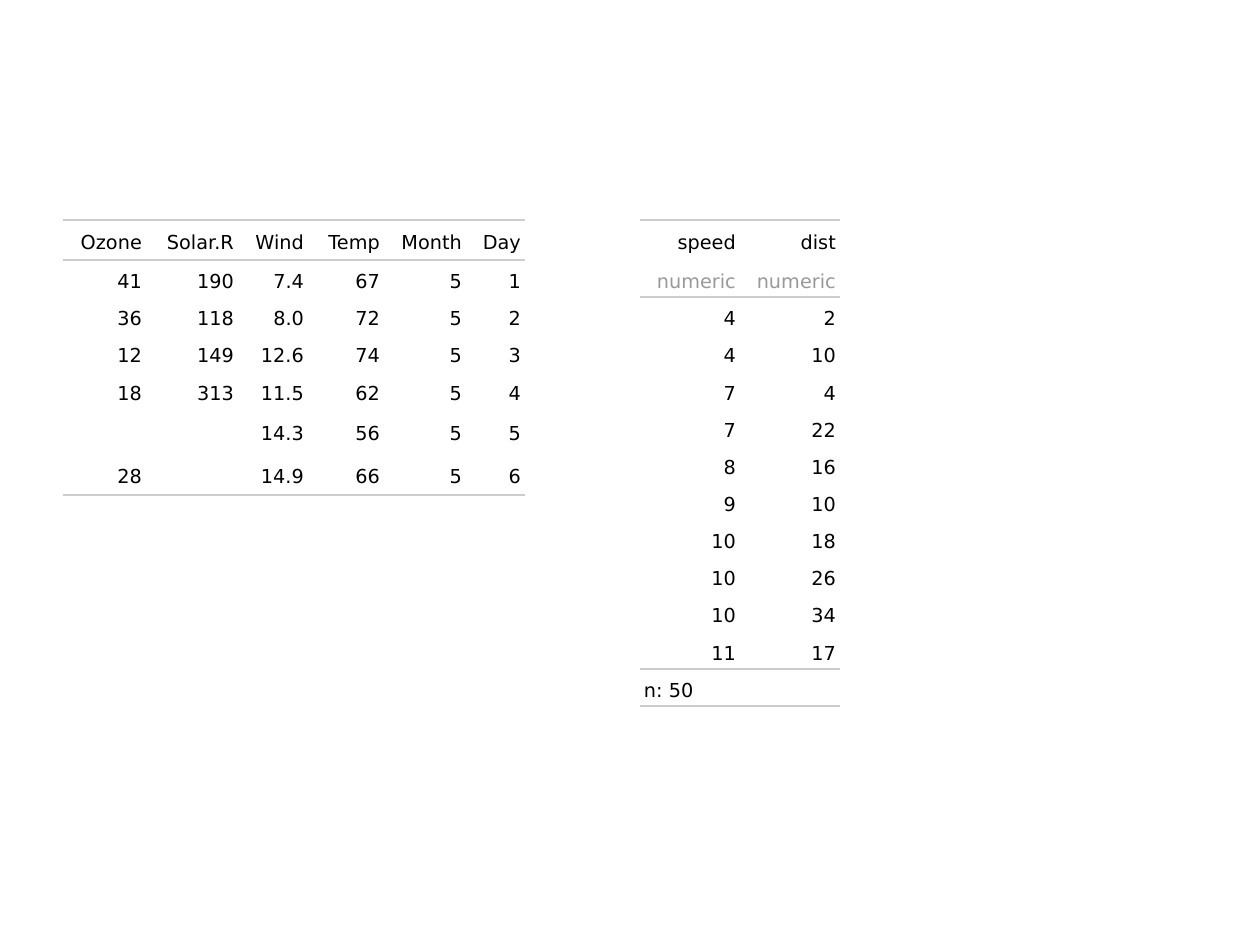
from lxml.etree import SubElement
from pptx import Presentation
from pptx.dml.color import RGBColor
from pptx.enum.text import MSO_ANCHOR, PP_ALIGN
from pptx.oxml.ns import qn
from pptx.util import Pt

SCALE = 914400 // 126
NO_GRID_STYLE = "{2D5ABB26-0587-4C30-8999-92F81FD0307C}"


def px(length):
    return length * SCALE


def color(value):
    return RGBColor.from_string(value)


def write(cell, text, font="DejaVu Sans", size=11, ink="000000", align=PP_ALIGN.RIGHT):
    paragraph = cell.text_frame.paragraphs[0]
    paragraph.alignment = align
    paragraph.line_spacing = 1.3
    paragraph.space_before = paragraph.space_after = Pt(2)
    properties = paragraph._p.get_or_add_pPr()
    for side in ("marL", "marR"):
        properties.set(side, str(px(4)))
    properties.set("indent", "0")
    run = paragraph.add_run()
    run.text = text
    run.font.name = font
    run.font.size = Pt(size)
    run.font.color.rgb = color(ink)


class TableSlide:
    rule = "CCCCCC"
    muted = "999999"
    rule_width = 1.5

    def __init__(self, presentation):
        self.slide = presentation.slides.add_slide(presentation.slide_layouts[6])

    def border(self, cell, side):
        line = SubElement(cell._tc.get_or_add_tcPr(), qn(f"a:ln{side}"),
                          w=str(Pt(self.rule_width)))
        fill = SubElement(line, qn("a:solidFill"))
        SubElement(fill, qn("a:srgbClr"), val=self.rule)

    def table(self, left, top, widths, heights, rows, ruled, muted=(), footer=None):
        """Rows in ruled have a line below; the first row also has one above."""
        frame = self.slide.shapes.add_table(
            len(rows), len(widths), px(left), px(top), px(sum(widths)), px(sum(heights)))
        table = frame.table
        table.first_row = table.horz_banding = False
        table._tbl.tblPr.find(qn("a:tableStyleId")).text = NO_GRID_STYLE
        for column, width in zip(table.columns, widths):
            column.width = px(width)
        for row, height in zip(table.rows, heights):
            row.height = px(height)
        if footer is not None:
            table.cell(footer, 0).merge(table.cell(footer, len(widths) - 1))
        for r, values in enumerate(rows):
            for c, value in enumerate(values):
                cell = table.cell(r, c)
                cell.margin_left = cell.margin_right = 0
                cell.margin_top = cell.margin_bottom = px(4)
                cell.vertical_anchor = MSO_ANCHOR.MIDDLE
                if r == 0:
                    self.border(cell, "T")
                if r in ruled:
                    self.border(cell, "B")
                cell.fill.background()
                if not cell.is_spanned:
                    write(cell, value,
                          ink=self.muted if r in muted else "000000",
                          align=PP_ALIGN.LEFT if r == footer else PP_ALIGN.RIGHT)


presentation = Presentation()
presentation.slide_width, presentation.slide_height = px(1260), px(945)
page = TableSlide(presentation)

# Air quality table
air_quality = [
    ("Ozone", "Solar.R", "Wind", "Temp", "Month", "Day"),
    ("41", "190", "7.4", "67", "5", "1"),
    ("36", "118", "8.0", "72", "5", "2"),
    ("12", "149", "12.6", "74", "5", "3"),
    ("18", "313", "11.5", "62", "5", "4"),
    ("", "", "14.3", "56", "5", "5"),
    ("28", "", "14.9", "66", "5", "6"),
]
page.table(63, 220, [83, 92, 70, 76, 82, 59], [40] + [36] * 4 + [42] * 2,
           air_quality, ruled=(0, 6))

# Speed and distance table
distances = [
    ("speed", "dist"),
    ("numeric", "numeric"),
    ("4", "2"), ("4", "10"), ("7", "4"), ("7", "22"), ("8", "16"),
    ("9", "10"), ("10", "18"), ("10", "26"), ("10", "34"), ("11", "17"),
    ("n: 50", ""),
]
page.table(640, 220, [100, 100], [40] + [36] * 12,
           distances, ruled=(1, 11, 12), muted=(1,), footer=12)

presentation.save("out.pptx")
